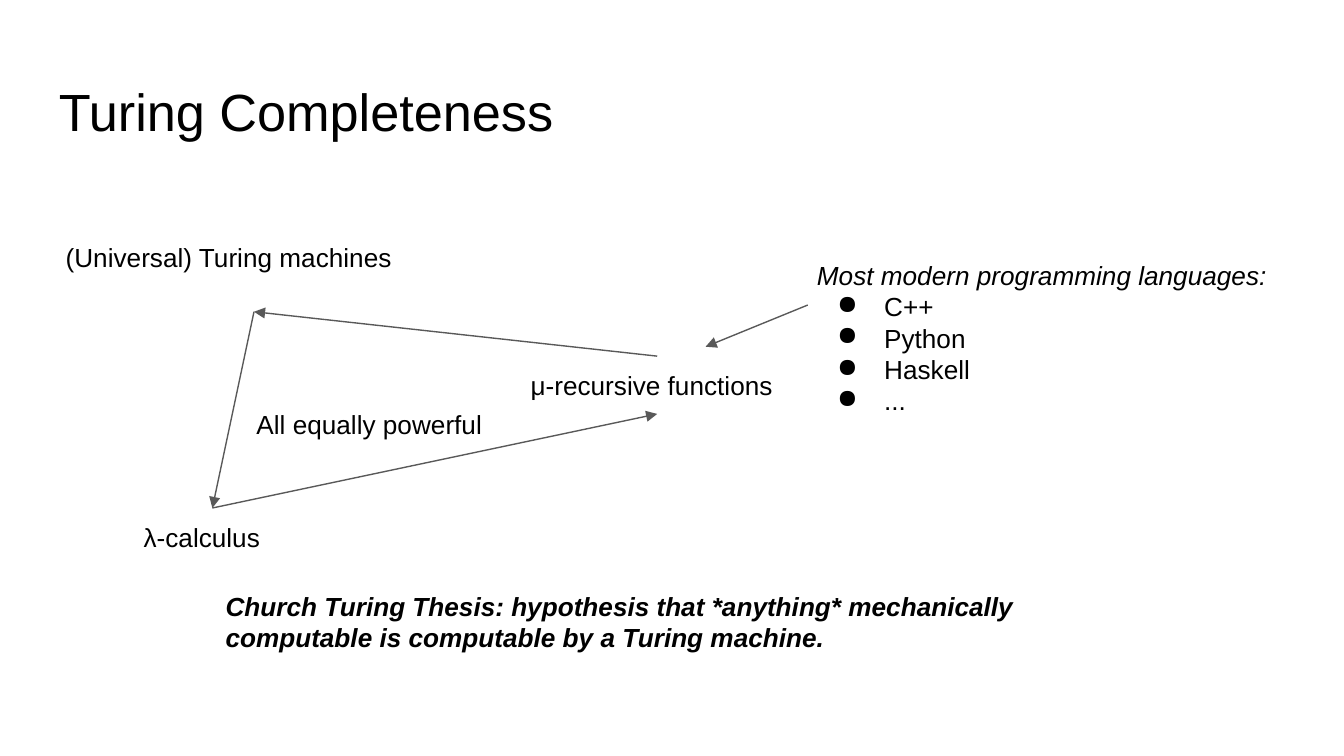
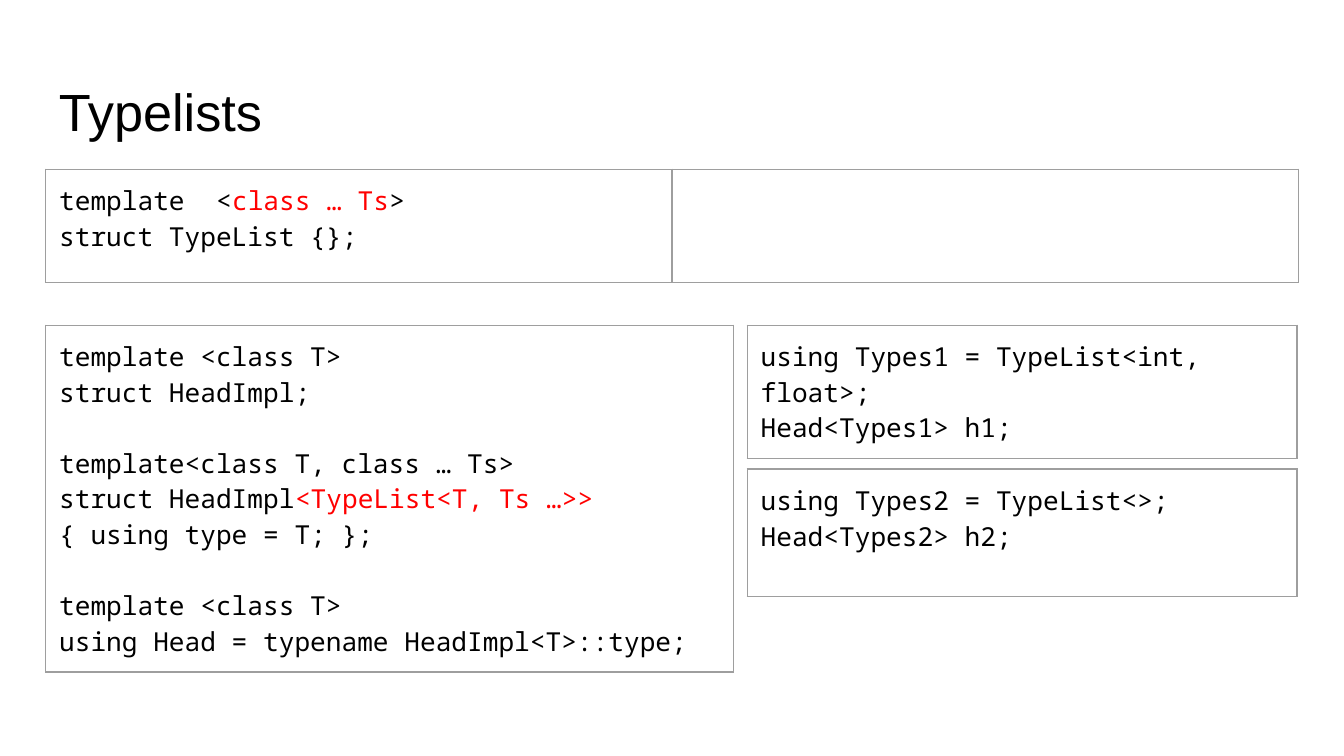
from dataclasses import dataclass

from lxml import etree
from pptx import Presentation
from pptx.dml.color import RGBColor
from pptx.enum.shapes import MSO_CONNECTOR
from pptx.oxml.ns import qn
from pptx.slide import Slide
from pptx.table import _Cell
from pptx.text.text import TextFrame, _Paragraph
from pptx.util import Inches, Pt

STRAIGHT = MSO_CONNECTOR.STRAIGHT
BLANK_LAYOUT = 6

BLACK, RED = "000000", "FF0000"
ARROW_GRAY, BORDER_GRAY = "595959", "9E9E9E"
BODY_FONT, CODE_FONT = "Arial", "Noto Sans Mono"
TITLE_SIZE, BODY_SIZE = 28, 14
LINE_WIDTH = 0.75
CODE_GAP = 19  # points, the height of one code line

SLIDE_WIDTH = 10
SLIDE_HEIGHT = SLIDE_WIDTH * 9 / 16
LEFT, CONTENT_WIDTH = 0.34, 9.32
LOWER_TOP = 2.42
EXAMPLE_LEFT, EXAMPLE_WIDTH = 5.56, 4.09
INSET = 0.1


@dataclass(frozen=True)
class Run:
    text: str
    color: str = BLACK


@dataclass(frozen=True)
class Line:
    """One paragraph of text."""
    runs: tuple[Run, ...]
    bold: bool = False
    italic: bool = False
    bullet: bool = False
    gap_before: float = 0


@dataclass(frozen=True)
class Label:
    left: float
    top: float
    width: float
    height: float
    lines: tuple[Line, ...]
    size: float = BODY_SIZE
    vertical_inset: float = INSET
    wrap: bool = True


@dataclass(frozen=True)
class Arrow:
    start: tuple[float, float]
    end: tuple[float, float]


@dataclass(frozen=True)
class CodeTable:
    left: float
    top: float
    height: float
    columns: tuple[float, ...]
    lines: tuple[Line, ...]
    merged: bool = False


def plain(text: str, **style) -> Line:
    return Line((Run(text),), **style)


TURING_LABELS = (
    Label(0.39, 1.7, 3, 0.63, (plain("(Universal) Turing machines"),)),
    Label(0.97, 3.78, 1.21, 0.49, (plain("λ-calculus"),)),
    Label(3.85, 2.65, 2.07, 0.43, (plain("μ-recursive functions"),)),
    Label(5.98, 1.83, 3.68, 2.43, (
        plain("Most modern programming languages:", italic=True),
        *(plain(name, bullet=True) for name in ("C++", "Python", "Haskell", "...")),
    )),
    Label(1.58, 4.29, 6.24, 0.59, (
        plain("Church Turing Thesis: hypothesis that *anything* mechanically "
              "computable is computable by a Turing machine.", bold=True, italic=True),
    )),
    Label(1.81, 2.99, 1.89, 0.34, (plain("All equally powerful"),),
          vertical_inset=0.05, wrap=False),
)

MACHINES, CALCULUS = (1.89, 2.32), (1.58, 3.78)
FUNCTIONS_TOP, FUNCTIONS_BOTTOM = (4.89, 2.65), (4.89, 3.08)
TURING_ARROWS = (
    Arrow(MACHINES, CALCULUS),
    Arrow(CALCULUS, FUNCTIONS_BOTTOM),
    Arrow(FUNCTIONS_TOP, MACHINES),
    Arrow((6.01, 2.27), (5.25, 2.58)),
)

TYPELIST_TABLES = (
    CodeTable(LEFT, 1.26, 0.84, (CONTENT_WIDTH / 2,) * 2, (
        Line((Run("template  <"), Run("class … Ts", RED), Run(">"))),
        plain("struct TypeList {};"),
    )),
    CodeTable(LEFT, LOWER_TOP, 2.58, (1.71, 0.85, 2.56), (
        plain("template <class T>"),
        plain("struct HeadImpl;"),
        plain("template<class T, class … Ts>", gap_before=CODE_GAP),
        Line((Run("struct HeadImpl"), Run("<TypeList<T, Ts …>>", RED))),
        plain("{ using type = T; };"),
        plain("template <class T>", gap_before=CODE_GAP),
        plain("using Head = typename HeadImpl<T>::type;"),
    ), merged=True),
    CodeTable(EXAMPLE_LEFT, LOWER_TOP, 0.99, (EXAMPLE_WIDTH,), (
        plain("using Types1 = TypeList<int, float>;"),
        plain("Head<Types1> h1;"),
    )),
    CodeTable(EXAMPLE_LEFT, 3.49, 0.95, (EXAMPLE_WIDTH,), (
        plain("using Types2 = TypeList<>;"),
        plain("Head<Types2> h2;"),
    )),
)


def rgb(color: str) -> RGBColor:
    return RGBColor.from_string(color)


def add_bullet(paragraph: _Paragraph) -> None:
    properties = paragraph._p.get_or_add_pPr()
    properties.set("marL", str(Inches(0.5)))
    properties.set("indent", str(Inches(-0.35)))
    size = etree.Element(qn("a:buSzPts"), val=str(BODY_SIZE * 100))
    bullet = etree.Element(qn("a:buChar"), char="●")
    for element in (size, bullet):
        properties.insert_element_before(element, "a:tabLst", "a:defRPr", "a:extLst")


def write_lines(frame: TextFrame, lines: tuple[Line, ...], font_name: str, size: float) -> None:
    for index, line in enumerate(lines):
        paragraph = frame.add_paragraph() if index else frame.paragraphs[0]
        font = paragraph.font
        font.name, font.size = font_name, Pt(size)
        font.bold, font.italic = line.bold, line.italic
        font.color.rgb = rgb(BLACK)
        if line.gap_before:
            paragraph.space_before = Pt(line.gap_before)
        if line.bullet:
            add_bullet(paragraph)
        for part in line.runs:
            run = paragraph.add_run()
            run.text = part.text
            if part.color != BLACK:
                run.font.color.rgb = rgb(part.color)


def set_margins(target: TextFrame | _Cell, vertical: float = INSET) -> None:
    target.margin_left = target.margin_right = Inches(INSET)
    target.margin_top = target.margin_bottom = Inches(vertical)


def add_label(slide: Slide, label: Label) -> None:
    shape = slide.shapes.add_textbox(
        Inches(label.left), Inches(label.top), Inches(label.width), Inches(label.height))
    frame = shape.text_frame
    frame.word_wrap = label.wrap
    set_margins(frame, label.vertical_inset)
    write_lines(frame, label.lines, BODY_FONT, label.size)


def add_arrow(slide: Slide, arrow: Arrow) -> None:
    connector = slide.shapes.add_connector(
        STRAIGHT, *(Inches(value) for value in arrow.start + arrow.end))
    connector.line.color.rgb = rgb(ARROW_GRAY)
    connector.line.width = Pt(LINE_WIDTH)
    etree.SubElement(connector.line._get_or_add_ln(), qn("a:tailEnd"), type="triangle")
    etree.SubElement(connector._element.spPr, qn("a:effectLst"))


def add_borders(cell: _Cell) -> None:
    properties = cell._tc.get_or_add_tcPr()
    for index, side in enumerate(("a:lnL", "a:lnR", "a:lnT", "a:lnB")):
        border = etree.Element(qn(side), w=str(Pt(LINE_WIDTH)))
        fill = etree.SubElement(border, qn("a:solidFill"))
        etree.SubElement(fill, qn("a:srgbClr"), val=BORDER_GRAY)
        properties.insert(index, border)


def add_code_table(slide: Slide, code: CodeTable) -> None:
    """Draw a one-row table with the code in its first cell."""
    table = slide.shapes.add_table(
        1, len(code.columns), Inches(code.left), Inches(code.top),
        Inches(sum(code.columns)), Inches(code.height)).table
    table.first_row = table.horz_banding = False
    for column, width in zip(table.columns, code.columns):
        column.width = Inches(width)
    for cell in table.iter_cells():
        cell.fill.background()
        set_margins(cell)
        add_borders(cell)
    if code.merged:
        table.cell(0, 0).merge(table.cell(0, len(code.columns) - 1))
    write_lines(table.cell(0, 0).text_frame, code.lines, CODE_FONT, BODY_SIZE)


def add_titled_slide(presentation: Presentation, title: str) -> Slide:
    slide = presentation.slides.add_slide(presentation.slide_layouts[BLANK_LAYOUT])
    add_label(slide, Label(LEFT, 0.49, CONTENT_WIDTH, 0.63, (plain(title),), TITLE_SIZE))
    return slide


def main() -> None:
    presentation = Presentation()
    presentation.slide_width = Inches(SLIDE_WIDTH)
    presentation.slide_height = Inches(SLIDE_HEIGHT)

    turing_slide = add_titled_slide(presentation, "Turing Completeness")
    for label in TURING_LABELS:
        add_label(turing_slide, label)
    for arrow in TURING_ARROWS:
        add_arrow(turing_slide, arrow)

    typelist_slide = add_titled_slide(presentation, "Typelists")
    for code in TYPELIST_TABLES:
        add_code_table(typelist_slide, code)

    presentation.save("out.pptx")


if __name__ == "__main__":
    main()
